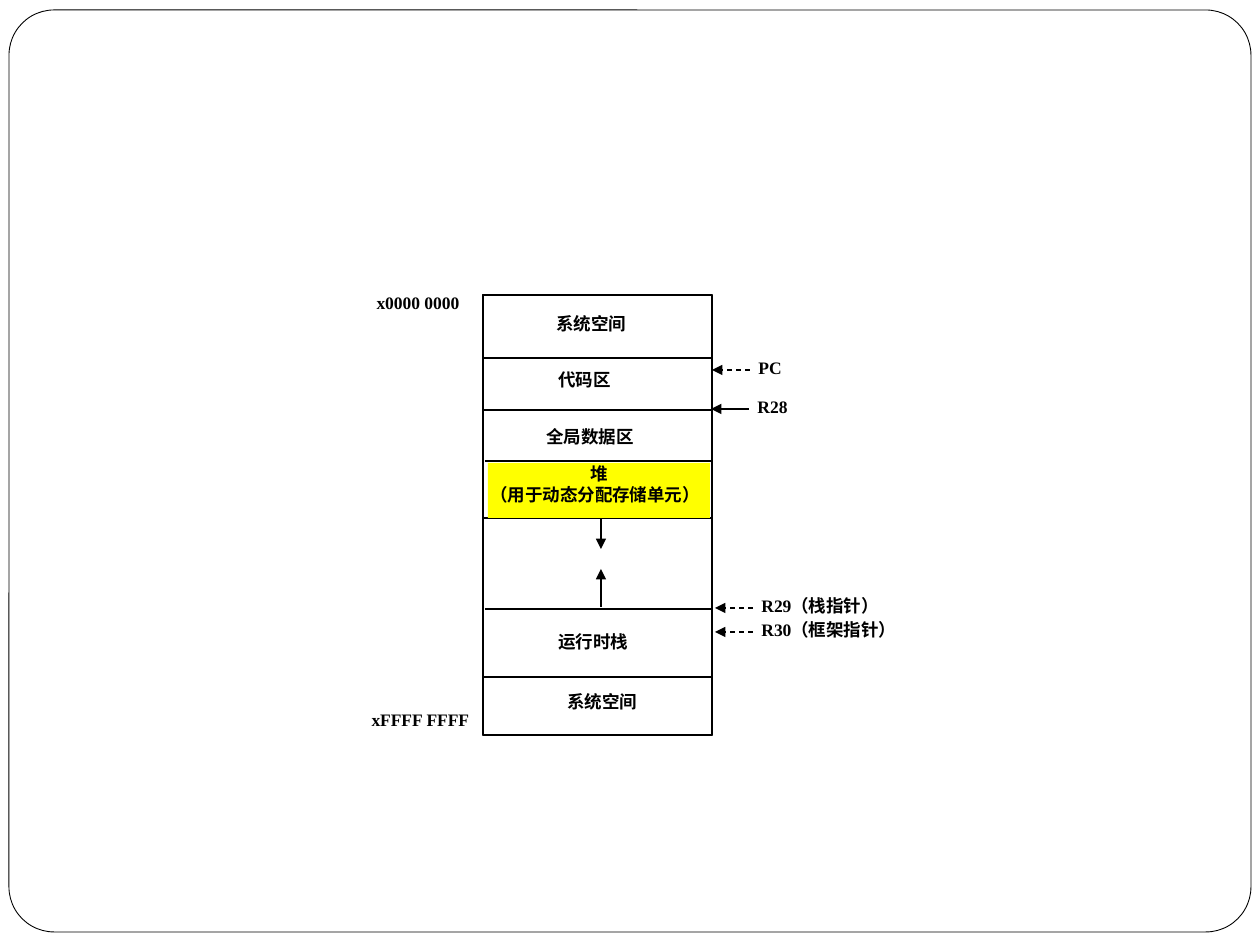
from pptx import Presentation
from pptx import util as u
from pptx.dml.color import RGBColor
from pptx.enum import dml, shapes, text
from pptx.oxml.ns import qn
from lxml import etree

PX = 914400 / 126
COLORS = {"ink": "000000", "paper": "FFFFFF", "heap": "FFFF00"}


def px(n):
    return u.Emu(round(n * PX))


class Diagram:
    """Style and current slide of the memory map."""

    font = "Times New Roman"
    size = 10
    line_width = 0.75

    def __init__(self, slide):
        self.slide = slide

    def color(self, name):
        return RGBColor.from_string(COLORS[name])

    def box(self, x, y, w, h, fill=None, line=line_width, radius=None):
        kind = shapes.MSO_SHAPE.ROUNDED_RECTANGLE if radius else shapes.MSO_SHAPE.RECTANGLE
        s = self.slide.shapes.add_shape(kind, px(x), px(y), px(w), px(h))
        s.shadow.inherit = False
        if radius:
            s.adjustments[0] = radius
        if fill:
            s.fill.solid()
            s.fill.fore_color.rgb = self.color(fill)
        else:
            s.fill.background()
        if line:
            s.line.color.rgb = self.color("ink")
            s.line.width = u.Pt(line)
        else:
            s.line.fill.background()
        return s

    def set_text(self, s, words, font=None):
        tf = s.text_frame
        tf.word_wrap = True
        tf.vertical_anchor = text.MSO_ANCHOR.TOP
        tf.margin_left = tf.margin_right = u.Inches(0.02)
        tf.margin_top = tf.margin_bottom = 0
        tf.text = words
        for p in tf.paragraphs:
            p.alignment = text.PP_ALIGN.LEFT
            for r in p.runs:
                r.font.name = font or self.font
                r.font.size = u.Pt(self.size)
                r.font.bold = True
                r.font.color.rgb = self.color("ink")
        return tf

    def label(self, words, x, y, w, h=29, font=None):
        tb = self.slide.shapes.add_textbox(px(x), px(y), px(w), px(h))
        self.set_text(tb, words, font)

    def line(self, x1, y1, x2, y2, arrow=False, dashed=False):
        c = self.slide.shapes.add_connector(
            shapes.MSO_CONNECTOR.STRAIGHT, px(x1), px(y1), px(x2), px(y2))
        c.line.color.rgb = self.color("ink")
        c.line.width = u.Pt(self.line_width)
        if dashed:
            c.line.dash_style = dml.MSO_LINE.DASH
        sp_pr = c._element.spPr
        if arrow:
            etree.SubElement(sp_pr.find(qn("a:ln")), qn("a:tailEnd"), type="triangle")
        etree.SubElement(sp_pr, qn("a:effectLst"))

    def pointer(self, words, x, y, w, dashed=True):
        """Register name with an arrow to the memory column on its left."""
        self.line(x + 38, y, x, y, arrow=True, dashed=dashed)
        self.label(words, x + 44, y - 13, w)


def main():
    prs = Presentation()
    prs.slide_width, prs.slide_height = u.Inches(10), u.Inches(7.5)
    d = Diagram(prs.slides.add_slide(prs.slide_layouts[6]))

    d.box(9, 10, 1242, 922, fill="paper", line=0.5, radius=0.049)

    # Memory column: whole space, then system space at both ends
    left, top, width, height = 483, 295, 229, 440
    d.box(left, top, width, height)
    d.box(left, top, width, 63)
    d.box(left, 677, width, 58)

    for x, y in [(483, 410), (485, 461), (484, 518), (485, 609)]:
        d.line(x, y, x + 228, y)

    heap = d.set_text(d.box(488, 463, 222, 55, fill="heap", line=None),
                      "堆\n（用于动态分配存储单元）")
    heap.paragraphs[0].alignment = text.PP_ALIGN.CENTER

    for words, x, y, w, font in [
        ("系统空间", 554, 313, 80, None),
        ("代码区", 556, 369, 80, "Arial"),
        ("全局数据区", 544, 426, 107, None),
        ("运行时栈", 556, 631, 102, None),
        ("系统空间", 565, 691, 80, None),
        ("x0000 0000", 374, 292, 108, None),
        ("xFFFF FFFF", 369, 709, 115, None),
    ]:
        d.label(words, x, y, w, font=font)

    # Heap grows down, stack grows up
    d.line(601, 519, 601, 549, arrow=True)
    d.line(601, 607, 601, 569, arrow=True)

    d.pointer("PC", 712, 370, 40)
    d.pointer("R28", 711, 409, 40, dashed=False)
    d.pointer("R29（栈指针）", 715, 608, 141)
    d.pointer("R30（框架指针）", 715, 632, 141)

    prs.save("out.pptx")


if __name__ == "__main__":
    main()
